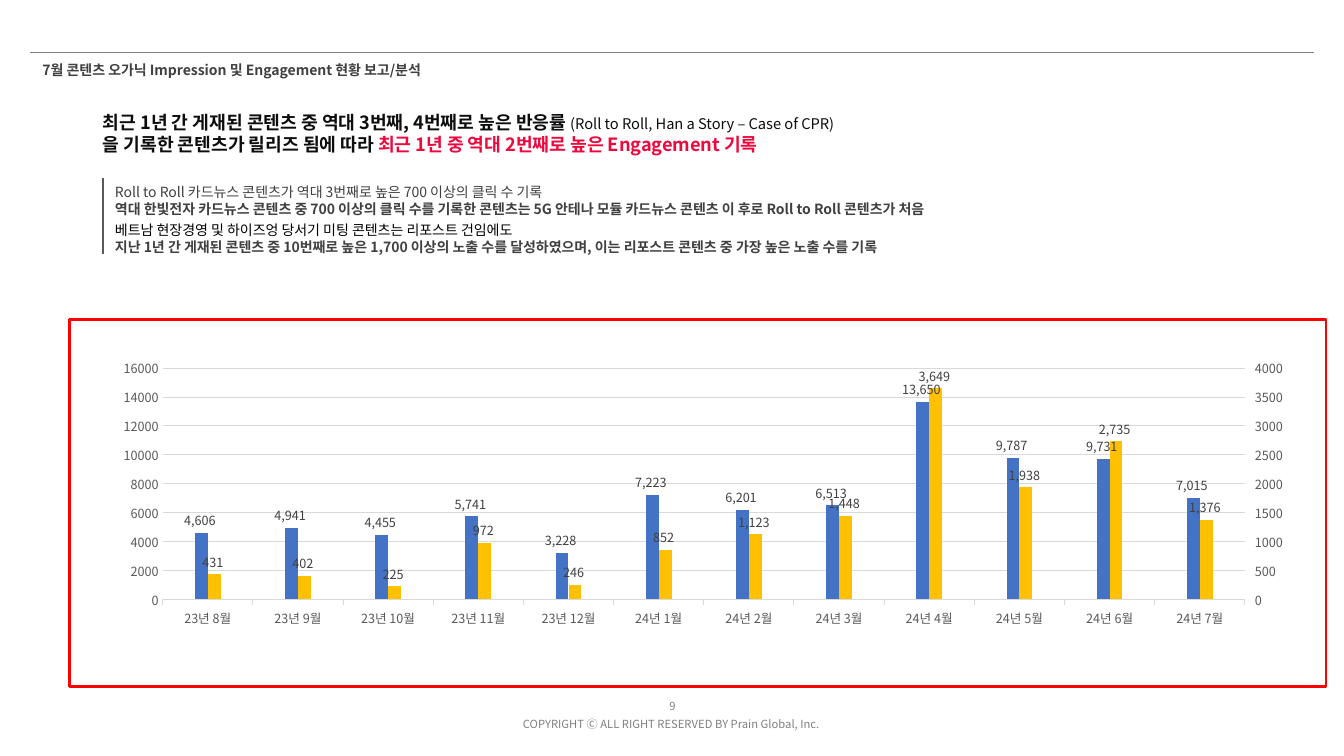
from copy import deepcopy
from dataclasses import dataclass

from lxml import etree
from pptx import Presentation
from pptx.chart.data import CategoryChartData
from pptx.dml.color import RGBColor
from pptx.enum.chart import XL_CHART_TYPE, XL_LABEL_POSITION, XL_TICK_MARK
from pptx.enum.shapes import MSO_CONNECTOR, MSO_SHAPE
from pptx.enum.text import MSO_ANCHOR, MSO_AUTO_SIZE, PP_ALIGN
from pptx.oxml.ns import qn
from pptx.util import Inches, Pt

COLUMNS = XL_CHART_TYPE.COLUMN_CLUSTERED
OUTSIDE_END = XL_LABEL_POSITION.OUTSIDE_END
TICK_NONE, TICK_OUT = XL_TICK_MARK.NONE, XL_TICK_MARK.OUTSIDE
STRAIGHT, RECTANGLE = MSO_CONNECTOR.STRAIGHT, MSO_SHAPE.RECTANGLE
TOP, NO_AUTOFIT = MSO_ANCHOR.TOP, MSO_AUTO_SIZE.NONE
LEFT, CENTER = PP_ALIGN.LEFT, PP_ALIGN.CENTER


@dataclass(frozen=True)
class Theme:
    font: str = "Noto Sans CJK KR"
    ink: str = "0D0D0D"
    black: str = "000000"
    dark: str = "404040"
    axis: str = "595959"
    muted: str = "808080"
    grid: str = "D9D9D9"
    accent: str = "ED083E"
    frame: str = "FF0000"
    headline: float = 13
    aside: float = 10.5
    body: float = 10
    chart: float = 9
    footer: float = 8


THEME = Theme()

TITLE = [[("7월 콘텐츠 오가닉 Impression 및 Engagement 현황 보고/분석", THEME.body, THEME.dark, True)]]
HEADLINE = [
    [("최근 1년 간 게재된 콘텐츠 중 역대 3번째, 4번째로 높은 반응률 ", THEME.headline, THEME.ink, True),
     ("(Roll to Roll, Han a Story – Case of CPR)", THEME.aside, THEME.ink, False)],
    [("을 기록한 콘텐츠가 릴리즈 됨에 따라 ", THEME.headline, THEME.ink, True),
     ("최근 1년 중 역대 2번째로 높은 Engagement 기록", THEME.headline, THEME.accent, True)],
]
CLICKS = [
    [("Roll to Roll 카드뉴스 콘텐츠가 역대 3번째로 높은 700 이상의 클릭 수 기록",
      THEME.body, THEME.dark, False)],
    [("역대 한빛전자 카드뉴스 콘텐츠 중 700 이상의 클릭 수를 기록한 콘텐츠는 "
      "5G 안테나 모듈 카드뉴스 콘텐츠 이 후로 Roll to Roll 콘텐츠가 처음",
      THEME.body, THEME.dark, True)],
]
REPOSTS = [
    [("베트남 현장경영 및 하이즈엉 당서기 미팅 콘텐츠는 리포스트 건임에도",
      THEME.body, THEME.black, False)],
    [("지난 1년 간 게재된 콘텐츠 중 10번째로 높은 1,700 이상의 노출 수를 달성하였으며, "
      "이는 리포스트 콘텐츠 중 가장 높은 노출 수를 기록",
      THEME.body, THEME.dark, True)],
]
COPYRIGHT = [[("COPYRIGHT Ⓒ ALL RIGHT RESERVED BY Prain Global, Inc.", THEME.footer, THEME.muted, False)]]
PAGE = [[("9", THEME.footer, THEME.muted, False)]]

TEXT_BOXES = [
    (COPYRIGHT, (5.01, 7.07, 3.3, 0.24), 0.1, CENTER),
    (PAGE, (6.54, 6.89, 0.26, 0.24), 0, CENTER),
    (HEADLINE, (1.02, 1.06, 10.32, 0.54), 0, LEFT),
    (CLICKS, (1.14, 1.77, 10.63, 0.61), 0, LEFT),
    (REPOSTS, (1.14, 2.15, 8.18, 0.44), 0, LEFT),
]
RULES = [
    ((0.3, 0.52, 13.03, 0.52), THEME.muted, 0.25),
    ((1.02, 1.77, 1.02, 2.52), THEME.axis, 1.5),
]

MONTHS = [f"23년 {m}월" for m in range(8, 13)] + [f"24년 {m}월" for m in range(1, 8)]
EMPTY = [None] * len(MONTHS)
SERIES = [
    ("Series 1", [4606, 4941, 4455, 5741, 3228, 7223, 6201, 6513, 13650, 9787, 9731, 7015], "4472C4"),
    ("Series 2", EMPTY, "ED7D31"),
    ("Series 3", EMPTY, "A5A5A5"),
    ("Series 4", [431, 402, 225, 972, 246, 852, 1123, 1448, 3649, 1938, 2735, 1376], "FFC000"),
]
LEFT_SERIES = 2
PLOT_AREA = {"x": 0.075, "y": 0.051, "w": 0.872, "h": 0.719}


def style_font(font, size, color, bold=False):
    font.size, font.bold, font.name = Pt(size), bold, THEME.font
    font.color.rgb = RGBColor.from_string(color)
    latin = font._element.find(qn("a:latin")) if hasattr(font, "_element") else font._rPr.find(qn("a:latin"))
    east_asian = etree.Element(qn("a:ea"), typeface=THEME.font)
    latin.addnext(east_asian)


def fill_text(frame, paragraphs, inset, align):
    frame.word_wrap = True
    frame.auto_size = NO_AUTOFIT
    frame.vertical_anchor = TOP
    frame.margin_left, frame.margin_right = Inches(inset), Inches(0.1 if align == LEFT else inset)
    frame.margin_top = frame.margin_bottom = Inches(0.05)
    for index, parts in enumerate(paragraphs):
        paragraph = frame.add_paragraph() if index else frame.paragraphs[0]
        paragraph.alignment = align
        for words, size, color, bold in parts:
            run = paragraph.add_run()
            run.text = words
            style_font(run.font, size, color, bold)


def add_rule(slide, ends, color, width):
    rule = slide.shapes.add_connector(STRAIGHT, *map(Inches, ends))
    rule.line.color.rgb = RGBColor.from_string(color)
    rule.line.width = Pt(width)
    etree.SubElement(rule._element.spPr, qn("a:effectLst"))


def style_axis(axis, tick):
    style_font(axis.tick_labels.font, THEME.chart, THEME.axis)
    axis.major_tick_mark, axis.minor_tick_mark = tick, TICK_NONE


def move_to_right_axis(chart):
    plot_area = chart._chartSpace.chart.plotArea
    left_bars = plot_area.find(qn("c:barChart"))
    right_bars = deepcopy(left_bars)
    left_bars.addnext(right_bars)
    for bars, keep in ((left_bars, range(LEFT_SERIES)), (right_bars, range(LEFT_SERIES, len(SERIES)))):
        for index, series in enumerate(bars.findall(qn("c:ser"))):
            if index not in keep:
                bars.remove(series)

    category, value = plot_area.find(qn("c:catAx")), plot_area.find(qn("c:valAx"))
    right_category, right_value = deepcopy(category), deepcopy(value)
    value.addnext(right_value)
    right_value.addnext(right_category)
    new_ids = {axis.find(qn("c:axId")).get("val"): number
               for axis, number in ((category, "5001"), (value, "5002"))}
    for part in (right_bars, right_category, right_value):
        for tag in ("c:axId", "c:crossAx"):
            for reference in part.findall(qn(tag)):
                reference.set("val", new_ids[reference.get("val")])
    right_category.find(qn("c:delete")).set("val", "1")
    right_value.remove(right_value.find(qn("c:majorGridlines")))
    for tag, setting in (("c:axPos", "r"), ("c:crosses", "max"), ("c:majorTickMark", "out"),
                         ("c:majorUnit", "500"), ("c:scaling/c:max", "4000")):
        right_value.find("/".join(qn(step) for step in tag.split("/"))).set("val", setting)


def set_plot_area(chart):
    plot_area = chart._chartSpace.chart.plotArea
    for old in plot_area.findall(qn("c:layout")):
        plot_area.remove(old)
    layout = etree.Element(qn("c:layout"))
    manual = etree.SubElement(layout, qn("c:manualLayout"))
    settings = {"layoutTarget": "inner", "xMode": "edge", "yMode": "edge", **PLOT_AREA}
    for tag, setting in settings.items():
        etree.SubElement(manual, qn(f"c:{tag}"), val=str(setting))
    plot_area.insert(0, layout)


def add_monthly_chart(slide):
    data = CategoryChartData()
    data.categories = MONTHS
    for name, values, _ in SERIES:
        data.add_series(name, values)
    place = map(Inches, (0.69, 3.49, 12.31, 3.19))
    chart = slide.shapes.add_chart(COLUMNS, *place, data).chart
    chart.has_title = chart.has_legend = False
    style_font(chart.font, THEME.body, THEME.black)
    plot = chart.plots[0]
    plot.gap_width, plot.overlap, plot.vary_by_categories = 500, 0, False
    for series, (_, _, color) in zip(plot.series, SERIES):
        series.format.fill.solid()
        series.format.fill.fore_color.rgb = RGBColor.from_string(color)
        labels = series.data_labels
        labels.show_value, labels.position = True, OUTSIDE_END
        labels.number_format, labels.number_format_is_linked = r"#,##0_);[Red]\(#,##0\)", False
        style_font(labels.font, THEME.chart, THEME.dark)

    months, counts = chart.category_axis, chart.value_axis
    style_axis(months, TICK_OUT)
    style_axis(counts, TICK_NONE)
    counts.minimum_scale, counts.maximum_scale, counts.major_unit = 0, 16000, 2000
    counts.tick_labels.number_format, counts.tick_labels.number_format_is_linked = "General", False
    counts.format.line.fill.background()
    for line in (months.format.line, counts.major_gridlines.format.line):
        line.color.rgb = RGBColor.from_string(THEME.grid)
        line.width = Pt(0.75)
    move_to_right_axis(chart)
    set_plot_area(chart)


def main():
    deck = Presentation()
    deck.slide_width, deck.slide_height = Inches(13.33), Inches(7.5)
    slide = deck.slides.add_slide(deck.slide_layouts[5])
    title = slide.shapes.title
    title.left, title.top, title.width, title.height = map(Inches, (0.32, 0.56, 4.31, 0.27))
    fill_text(title.text_frame, TITLE, 0.1, LEFT)
    for rule in RULES:
        add_rule(slide, *rule)
    for paragraphs, place, inset, align in TEXT_BOXES:
        box = slide.shapes.add_textbox(*map(Inches, place))
        fill_text(box.text_frame, paragraphs, inset, align)
    frame = slide.shapes.add_shape(RECTANGLE, *map(Inches, (0.69, 3.17, 12.46, 3.64)))
    frame.shadow.inherit = False
    frame.fill.background()
    frame.line.color.rgb = RGBColor.from_string(THEME.frame)
    frame.line.width = Pt(1.75)
    add_monthly_chart(slide)
    deck.save("out.pptx")


if __name__ == "__main__":
    main()
